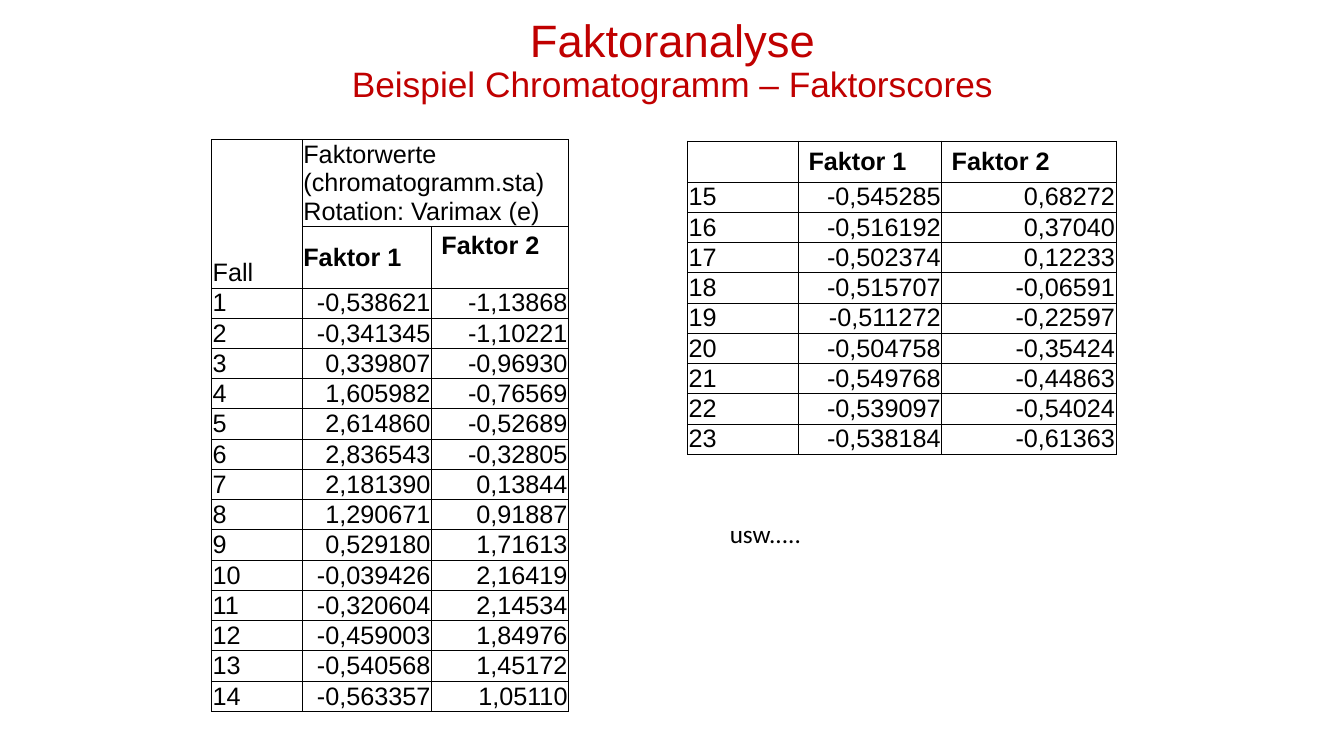
from lxml.etree import SubElement as Sub, fromstring as parse_xml
from pptx import Presentation
from pptx.dml.color import RGBColor
from pptx.enum.text import MSO_ANCHOR as Anchor, MSO_AUTO_SIZE as Fit, PP_ALIGN as Align
from pptx.oxml.ns import qn
from pptx.util import Inches, Pt

RED = RGBColor(0xC0, 0x00, 0x00)
BLACK = RGBColor(0x00, 0x00, 0x00)
WHITE = RGBColor(0xFF, 0xFF, 0xFF)

SCORES = """
-0,538621 -1,13868
-0,341345 -1,10221
0,339807 -0,96930
1,605982 -0,76569
2,614860 -0,52689
2,836543 -0,32805
2,181390 0,13844
1,290671 0,91887
0,529180 1,71613
-0,039426 2,16419
-0,320604 2,14534
-0,459003 1,84976
-0,540568 1,45172
-0,563357 1,05110
-0,545285 0,68272
-0,516192 0,37040
-0,502374 0,12233
-0,515707 -0,06591
-0,511272 -0,22597
-0,504758 -0,35424
-0,549768 -0,44863
-0,539097 -0,54024
-0,538184 -0,61363
"""
CASES = [(str(num), *line.split())
         for num, line in enumerate(SCORES.strip().splitlines(), 1)]
SPLIT = 14
ROW = 4


class Sheet:
    """Slide with its style; lengths are percent of the slide's size."""

    font, size = "Arial", 18

    def __init__(self, deck):
        self.deck = deck
        self.slide = deck.slides.add_slide(deck.slide_layouts[5])

    def wide(self, share):
        return round(self.deck.slide_width * share / 100)

    def high(self, share):
        return round(self.deck.slide_height * share / 100)

    def box(self, left, top, width, height):
        return self.wide(left), self.high(top), self.wide(width), self.high(height)

    def ink(self, run, size=size, color=BLACK, font=font, bold=False):
        run.font.name, run.font.size, run.font.bold = font, Pt(size), bold
        run.font.color.rgb = color

    def title(self, area, lines, sizes):
        shape = self.slide.shapes.title
        shape.left, shape.top, shape.width, shape.height = self.box(*area)
        frame = shape.text_frame
        frame.text = "\v".join(lines)
        frame.auto_size, frame.vertical_anchor = Fit.NONE, Anchor.MIDDLE
        para = frame.paragraphs[0]
        para.alignment, para.line_spacing = Align.CENTER, 0.9
        for run, size in zip(para.runs, sizes):
            self.ink(run, size, RED)

    def note(self, area, text):
        frame = self.slide.shapes.add_textbox(*self.box(*area)).text_frame
        frame.text = text
        frame.word_wrap, frame.auto_size = False, Fit.SHAPE_TO_FIT_TEXT
        self.ink(frame.paragraphs[0].runs[0], font="Calibri")

    def edge(self, cell):
        props = cell._tc.get_or_add_tcPr()
        for spot, side in enumerate(("lnL", "lnR", "lnT", "lnB")):
            line = props.makeelement(qn(f"a:{side}"), {"w": str(Pt(0.75))})
            fill = Sub(line, qn("a:solidFill"))
            Sub(fill, qn("a:srgbClr"), val=str(BLACK))
            props.insert(spot, line)

    def cell(self, cell, text, align=Align.LEFT, anchor=Anchor.MIDDLE,
             bold=False, tight=True):
        cell.text, cell.vertical_anchor = text, anchor
        if tight:
            cell.margin_left = cell.margin_right = Inches(0.01)
            cell.margin_top = cell.margin_bottom = Inches(0.01)
        para = cell.text_frame.paragraphs[0]
        para.alignment = align
        for run in para.runs:
            self.ink(run, bold=bold)

    def table(self, left, top, cols, heads, cases):
        rows = [*heads, *[ROW] * len(cases)]
        area = self.box(left, top, sum(cols), sum(rows))
        table = self.slide.shapes.add_table(len(rows), len(cols), *area).table
        table.first_row = table.horz_banding = False
        for col, share in zip(table.columns, cols):
            col.width = self.wide(share)
        for row, share in zip(table.rows, rows):
            row.height = self.high(share)
        for cell in table.iter_cells():
            cell.fill.solid()
            cell.fill.fore_color.rgb = WHITE
            self.edge(cell)
        for r, case in enumerate(cases, len(heads)):
            for c, text in enumerate(case):
                self.cell(table.cell(r, c), text, Align.RIGHT if c else Align.LEFT)
        return table


def main():
    deck = Presentation()
    deck.slide_width, deck.slide_height = Inches(13.33), Inches(7.5)
    sheet = Sheet(deck)
    sheet.title((6.9, 1.73, 86.27, 12.93),
                ("Faktoranalyse", "Beispiel Chromatogramm – Faktorscores"),
                (32.4, 25.2))

    first = sheet.table(15.75, 18.5, (6.75, 9.6, 10.2), (11.5, 8.1), CASES[:SPLIT])
    first.cell(0, 0).merge(first.cell(1, 0))
    first.cell(0, 1).merge(first.cell(0, 2))
    sheet.cell(first.cell(0, 0), "Fall", anchor=Anchor.BOTTOM)
    sheet.cell(first.cell(0, 1), "Faktorwerte (chromatogramm.sta) Rotation: Varimax (e)",
               anchor=Anchor.TOP)
    sheet.cell(first.cell(1, 1), "Faktor 1", bold=True)
    sheet.cell(first.cell(1, 2), "Faktor 2", anchor=Anchor.TOP, bold=True, tight=False)

    second = sheet.table(51.16, 18.67, (8.25, 10.65, 12.98), (5.2,), CASES[SPLIT:])
    for col in (1, 2):
        sheet.cell(second.cell(0, col), f"Faktor {col}", bold=True, tight=False)

    sheet.note((53.56, 67.87, 6.83, 5.33), "usw.....")
    deck.save("out.pptx")


if __name__ == "__main__":
    main()
